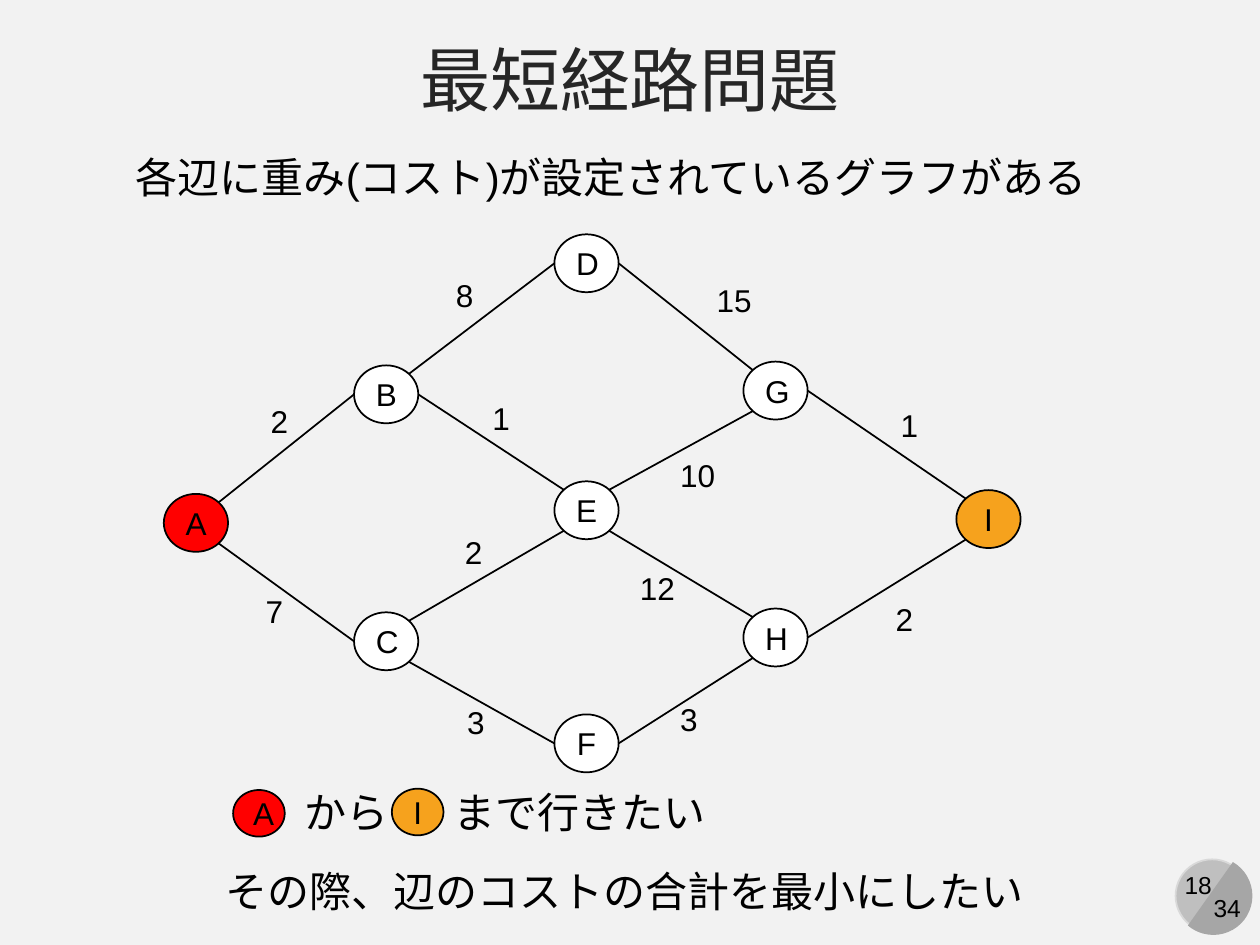
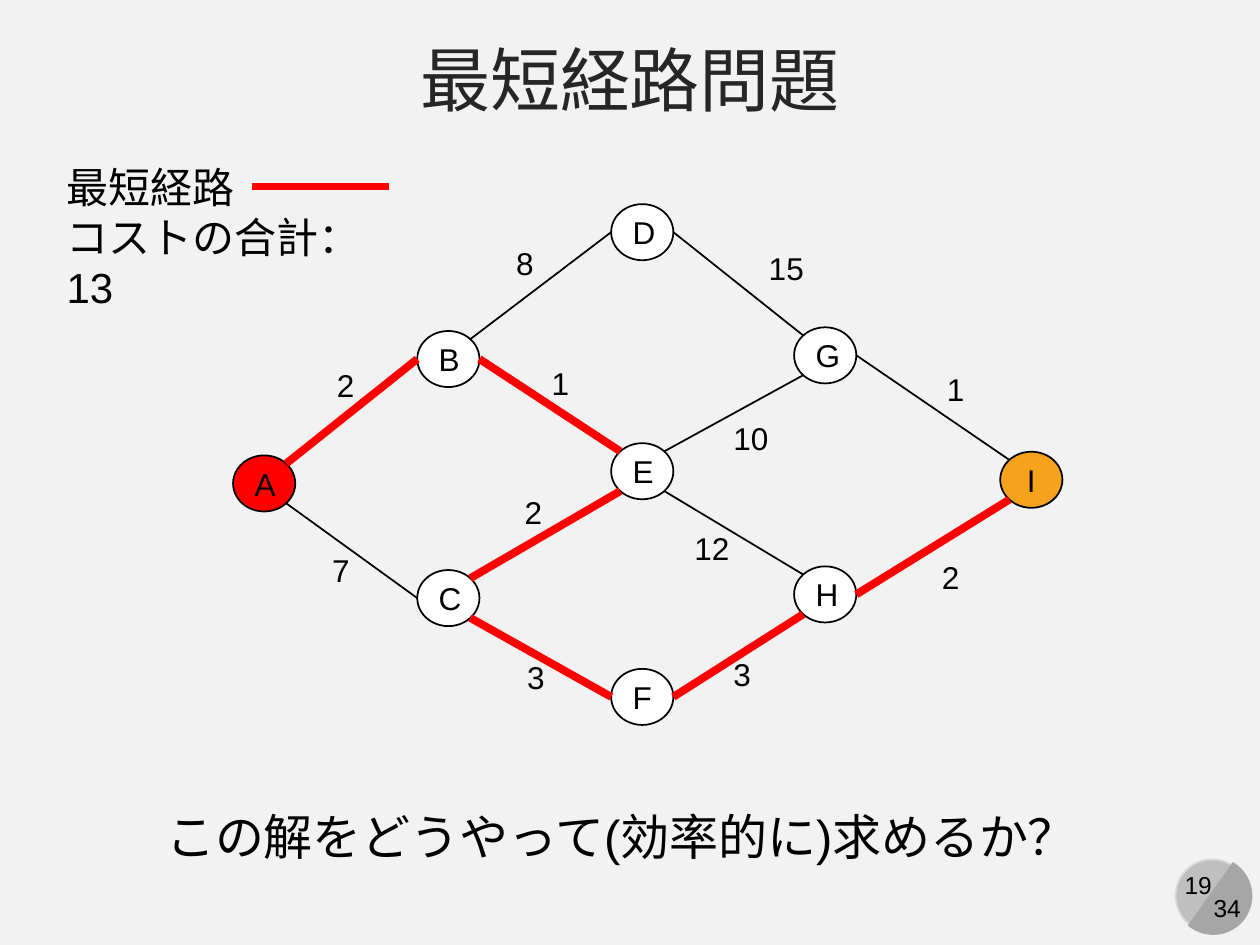
from math import sqrt

from lxml import etree
from pptx import Presentation
from pptx.dml.color import RGBColor
from pptx.enum.shapes import MSO_CONNECTOR as CONNECTOR, MSO_SHAPE as SHAPE
from pptx.enum.text import MSO_ANCHOR as ANCHOR, MSO_AUTO_SIZE as AUTO_SIZE, PP_ALIGN as ALIGN
from pptx.oxml.ns import qn
from pptx.util import Inches, Pt

COLORS = {
    "background": "F2F2F2", "title": "262626", "text": "000000",
    "node": "FFFFFF", "start": "FF0000", "goal": "F6A21D", "path": "FF0000",
    "badge": "BFBFBF", "badge_edge": "D9D9D9", "badge_half": "A6A6A6",
}
COLORS = {name: RGBColor.from_string(value) for name, value in COLORS.items()}

# Graph: node positions, edges with the side they leave and enter, cost labels
NODE_WIDTH, NODE_HEIGHT = 0.51, 0.46
NODES = {
    "A": (1.3, 3.92), "B": (2.81, 2.9), "C": (2.81, 4.86),
    "D": (4.4, 1.86), "E": (4.4, 3.82), "F": (4.4, 5.67),
    "G": (5.9, 2.87), "H": (5.9, 4.83), "I": (7.59, 3.89),
}
NODE_COLORS = {"A": COLORS["start"], "I": COLORS["goal"]}
DIAGONAL = sqrt(0.5)
SIDES = {
    "left": (-1, 0), "right": (1, 0),
    "upper left": (-DIAGONAL, -DIAGONAL), "upper right": (DIAGONAL, -DIAGONAL),
    "lower left": (-DIAGONAL, DIAGONAL), "lower right": (DIAGONAL, DIAGONAL),
}
EDGES = [
    ("AB", "upper right", "left", "2", 2.05, 3.14),
    ("BD", "upper right", "left", "8", 3.52, 2.14),
    ("DG", "right", "upper left", "15", 5.59, 2.18),
    ("GI", "right", "upper left", "1", 7.05, 3.17),
    ("AC", "lower right", "left", "7", 2.01, 4.65),
    ("CF", "lower right", "left", "3", 3.61, 5.53),
    ("FH", "right", "lower left", "3", 5.3, 5.51),
    ("HI", "right", "lower left", "2", 7.01, 4.71),
    ("BE", "right", "upper left", "1", 3.81, 3.12),
    ("CE", "upper right", "lower left", "2", 3.59, 4.18),
    ("EG", "upper right", "lower left", "10", 5.3, 3.57),
    ("EH", "lower right", "upper left", "12", 4.98, 4.47),
]

# What differs between the slides; texts are (left, top, width, height, size, text)
SLIDES = [
    {
        "number": "18", "origin": (1.3, 1.86), "scale": 1, "path": [],
        "small_nodes": [("A", 1.85, 6.27), ("I", 3.11, 6.26)],
        "legend_lines": [],
        "texts": [
            (0.98, 1.15, 7.82, 0.5, 24, "各辺に重み(コスト)が設定されているグラフがある"),
            (2.32, 6.19, 0.88, 0.5, 24, "から"),
            (3.5, 6.19, 2.22, 0.5, 24, "まで行きたい"),
            (1.69, 6.82, 6.6, 0.5, 24, "その際、辺のコストの合計を最小にしたい"),
        ],
    },
    {
        "number": "19", "origin": (1.85, 1.62), "scale": 0.968,
        "path": ["AB", "BE", "CE", "CF", "FH", "HI"],
        "small_nodes": [],
        "legend_lines": [(2, 1.48, 3.09, 1.48)],
        "texts": [
            (0.43, 1.23, 2.89, 0.91, 24, "最短経路\nコストの合計：13"),
            (1.22, 6.35, 7.52, 0.57, 28, "この解をどうやって(効率的に)求めるか？"),
        ],
    },
]


def set_text(shape, text, size=18, color="text", align=ALIGN.LEFT, anchor=ANCHOR.TOP, wrap=True):
    frame = shape.text_frame
    frame.text = text
    frame.auto_size = AUTO_SIZE.NONE
    frame.word_wrap = wrap
    frame.vertical_anchor = anchor
    for paragraph in frame.paragraphs:
        paragraph.alignment = align
        paragraph.font.name = "Arial"
        paragraph.font.size = Pt(size)
        paragraph.font.color.rgb = COLORS[color]


def add_line(slide, start_x, start_y, end_x, end_y, on_path):
    line = slide.shapes.add_connector(
        CONNECTOR.STRAIGHT, Inches(start_x), Inches(start_y), Inches(end_x), Inches(end_y))
    line.line.color.rgb = COLORS["path" if on_path else "text"]
    line.line.width = Pt(4.5 if on_path else 1)
    etree.SubElement(line._element.spPr, qn("a:effectLst"))


presentation = Presentation()
presentation.slide_width, presentation.slide_height = Inches(10), Inches(7.5)
background = presentation.slide_master.background.fill
background.solid()
background.fore_color.rgb = COLORS["background"]

for content in SLIDES:
    slide = presentation.slides.add_slide(presentation.slide_layouts[5])
    scale = content["scale"]
    shift_x, shift_y = (new - old * scale for new, old in zip(content["origin"], (1.3, 1.86)))

    # Page badge
    badge = slide.shapes.add_shape(
        SHAPE.OVAL, Inches(9.33), Inches(6.82), Inches(0.58), Inches(0.58))
    badge.line.color.rgb = COLORS["badge_edge"]
    badge.line.width = Pt(1)
    half = slide.shapes.add_shape(
        SHAPE.CHORD, Inches(9.32), Inches(6.8), Inches(0.62), Inches(0.62))
    half.adjustments[0], half.adjustments[1] = 27, 141.42
    half.rotation = 255
    half.line.fill.background()
    for shape, color in ((badge, "badge"), (half, "badge_half")):
        shape.shadow.inherit = False
        shape.fill.solid()
        shape.fill.fore_color.rgb = COLORS[color]
    for left, top, width, number in ((9.29, 6.86, 0.44, content["number"]), (9.53, 7.04, 0.42, "34")):
        box = slide.shapes.add_textbox(Inches(left), Inches(top), Inches(width), Inches(0.34))
        set_text(box, number, size=14, align=ALIGN.CENTER, wrap=False)

    # Title
    title = slide.shapes.title
    title.left, title.top, title.width, title.height = Inches(0), Inches(0.21), Inches(10), Inches(0.82)
    set_text(title, "最短経路問題", size=40, color="title", align=ALIGN.CENTER, anchor=ANCHOR.MIDDLE)

    # Nodes of the graph and of the sentence below it
    width, height = NODE_WIDTH * scale, NODE_HEIGHT * scale
    nodes = {name: (shift_x + x * scale, shift_y + y * scale) for name, (x, y) in NODES.items()}
    circles = [(name, x, y, width, height) for name, (x, y) in nodes.items()]
    circles += [(name, x, y, 0.41, 0.37) for name, x, y in content["small_nodes"]]
    for name, x, y, circle_width, circle_height in circles:
        node = slide.shapes.add_shape(
            SHAPE.OVAL, Inches(x), Inches(y), Inches(circle_width), Inches(circle_height))
        node.shadow.inherit = False
        node.fill.solid()
        node.fill.fore_color.rgb = NODE_COLORS.get(name, COLORS["node"])
        node.line.color.rgb = COLORS["text"]
        node.line.width = Pt(1)
        set_text(node, name, align=ALIGN.CENTER, anchor=ANCHOR.MIDDLE)

    # Edges and their costs
    for edge, start_side, end_side, cost, cost_x, cost_y in EDGES:
        ends = []
        for name, side in zip(edge, (start_side, end_side)):
            x, y = nodes[name]
            toward_x, toward_y = SIDES[side]
            ends += [x + width / 2 * (1 + toward_x), y + height / 2 * (1 + toward_y)]
        add_line(slide, *ends, on_path=edge in content["path"])
        label = slide.shapes.add_textbox(
            Inches(shift_x + cost_x * scale), Inches(shift_y + cost_y * scale),
            Inches((0.25 + 0.16 * len(cost)) * scale), Inches(0.51 * scale))
        set_text(label, cost, wrap=False)

    # Legend and sentences
    for ends in content["legend_lines"]:
        add_line(slide, *ends, on_path=True)
    for left, top, text_width, text_height, size, text in content["texts"]:
        box = slide.shapes.add_textbox(
            Inches(left), Inches(top), Inches(text_width), Inches(text_height))
        set_text(box, text, size=size)

presentation.save("out.pptx")
